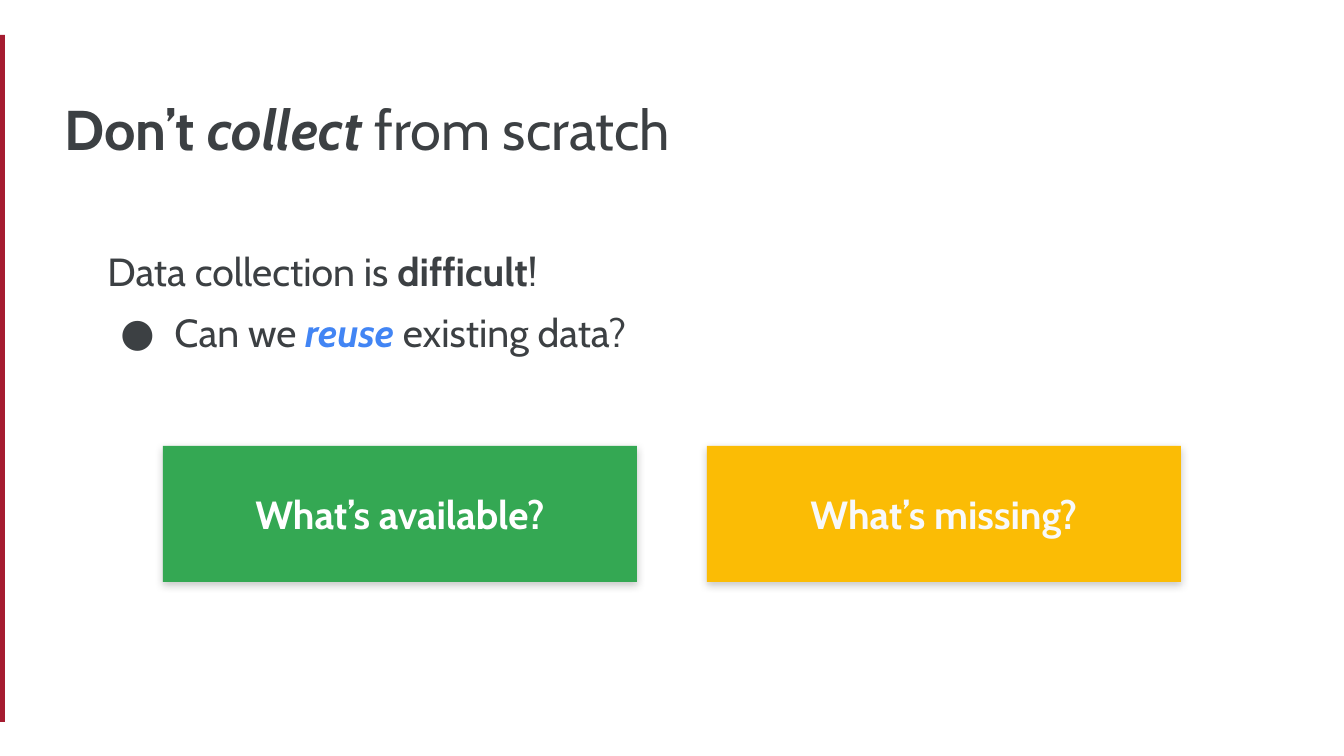
import pptx
import pptx.dml.color
import pptx.enum.shapes
import pptx.enum.text
import pptx.oxml
import pptx.oxml.ns
import pptx.util

EMU_PER_PX = 914400 / 134.4
FONT = "Cabin"
INK = "3C4043"
ANCHOR = pptx.enum.text.MSO_ANCHOR
ALIGN = pptx.enum.text.PP_ALIGN
SHAPE = pptx.enum.shapes.MSO_SHAPE


def px(length):
    return pptx.util.Emu(round(length * EMU_PER_PX))


def color(hex_string):
    return pptx.dml.color.RGBColor.from_string(hex_string)


def add_xml(parent, xml):
    namespaces = pptx.oxml.ns.nsdecls("a")
    tag, rest = xml.split(" ", 1)
    parent.append(pptx.oxml.parse_xml(f"{tag} {namespaces} {rest}"))


def place(shape, box):
    shape.left, shape.top, shape.width, shape.height = map(px, box)


def format_frame(shape, anchor):
    frame = shape.text_frame
    frame.word_wrap = True
    frame.auto_size = pptx.enum.text.MSO_AUTO_SIZE.NONE
    frame.vertical_anchor = anchor
    frame.margin_left = frame.margin_right = pptx.util.Inches(0.1)
    frame.margin_top = frame.margin_bottom = pptx.util.Inches(0.1)
    return frame


def write(paragraph, runs, size, align=ALIGN.LEFT, spacing=1.0, bullet=None):
    """Fill a paragraph with (text, format) runs; format may hold bold, italic, ink."""
    paragraph.alignment = align
    paragraph.line_spacing = spacing
    paragraph.space_before = paragraph.space_after = pptx.util.Pt(0)
    properties = paragraph._p.get_or_add_pPr()
    properties.set("marL", str(px(67) if bullet else 0))
    properties.set("indent", str(px(-54) if bullet else 0))
    if bullet:
        add_xml(properties, f'<a:buClr ><a:srgbClr val="{INK}"/></a:buClr>')
        add_xml(properties, f'<a:buFont typeface="{FONT}"/>')
        add_xml(properties, f'<a:buChar char="{bullet}"/>')
    else:
        add_xml(properties, "<a:buNone />")
    for text, style in runs:
        run = paragraph.add_run()
        run.text = text
        run.font.name = FONT
        run.font.size = pptx.util.Pt(size)
        run.font.bold = style.get("bold", False)
        run.font.italic = style.get("italic", False)
        run.font.color.rgb = color(style.get("ink", INK))


def add_block(slide, kind, box, fill):
    left, top, width, height = map(px, box)
    shape = slide.shapes.add_shape(kind, left, top, width, height)
    shape.shadow.inherit = False
    shape.fill.solid()
    shape.fill.fore_color.rgb = color(fill)
    shape.line.fill.background()
    return shape


def fill_title(slide, box):
    title = slide.shapes.title
    place(title, box)
    frame = format_frame(title, ANCHOR.TOP)
    write(frame.paragraphs[0], [
        ("Don’t ", {"bold": True}),
        ("collect", {"bold": True, "italic": True}),
        (" from scratch", {}),
    ], size=30, spacing=0.9)


def fill_body(slide, box):
    body = slide.placeholders[1]
    place(body, box)
    frame = format_frame(body, ANCHOR.TOP)
    write(frame.paragraphs[0], [
        ("Data collection is ", {}),
        ("difficult", {"bold": True}),
        ("!", {}),
    ], size=21, spacing=1.3)
    write(frame.add_paragraph(), [
        ("Can we ", {}),
        ("reuse", {"bold": True, "italic": True, "ink": "4285F4"}),
        (" existing data?", {}),
    ], size=21, spacing=1.3, bullet="●")


def add_card(slide, box, text, fill, ink):
    card = add_block(slide, SHAPE.ROUNDED_RECTANGLE, box, fill)
    card.adjustments[0] = 0
    effects = card._element.spPr.find(pptx.oxml.ns.qn("a:effectLst"))
    add_xml(effects, f'<a:outerShdw blurRad="{pptx.util.Pt(4.5)}" dist="{pptx.util.Pt(1.5)}" '
                     'dir="5400000" algn="bl" rotWithShape="0"><a:srgbClr val="000000">'
                     '<a:alpha val="22000"/></a:srgbClr></a:outerShdw>')
    frame = format_frame(card, ANCHOR.MIDDLE)
    write(frame.paragraphs[0], [(text, {"bold": True, "ink": ink})], size=21,
          align=ALIGN.CENTER)


def add_cards(slide, box):
    """Lay two equal cards side by side across the box."""
    left, top, width, height = box
    gap = 70
    card_width = (width - gap) // 2
    cards = [
        ("What’s available?", "34A853", "FFFFFF"),
        ("What’s missing?", "FBBC05", "F8F9FA"),
    ]
    for index, (text, fill, ink) in enumerate(cards):
        card_left = left + index * (card_width + gap)
        add_card(slide, (card_left, top, card_width, height), text, fill, ink)


def main():
    presentation = pptx.Presentation()
    presentation.slide_width, presentation.slide_height = px(1344), px(756)
    slide = presentation.slides.add_slide(presentation.slide_layouts[1])
    add_block(slide, SHAPE.RECTANGLE, (-3, 35, 8, 687), "A51C30")
    fill_title(slide, (51, 89, 1146, 79))
    fill_body(slide, (94, 220, 613, 259))
    add_cards(slide, (163, 446, 1018, 136))
    presentation.save("out.pptx")


if __name__ == "__main__":
    main()
